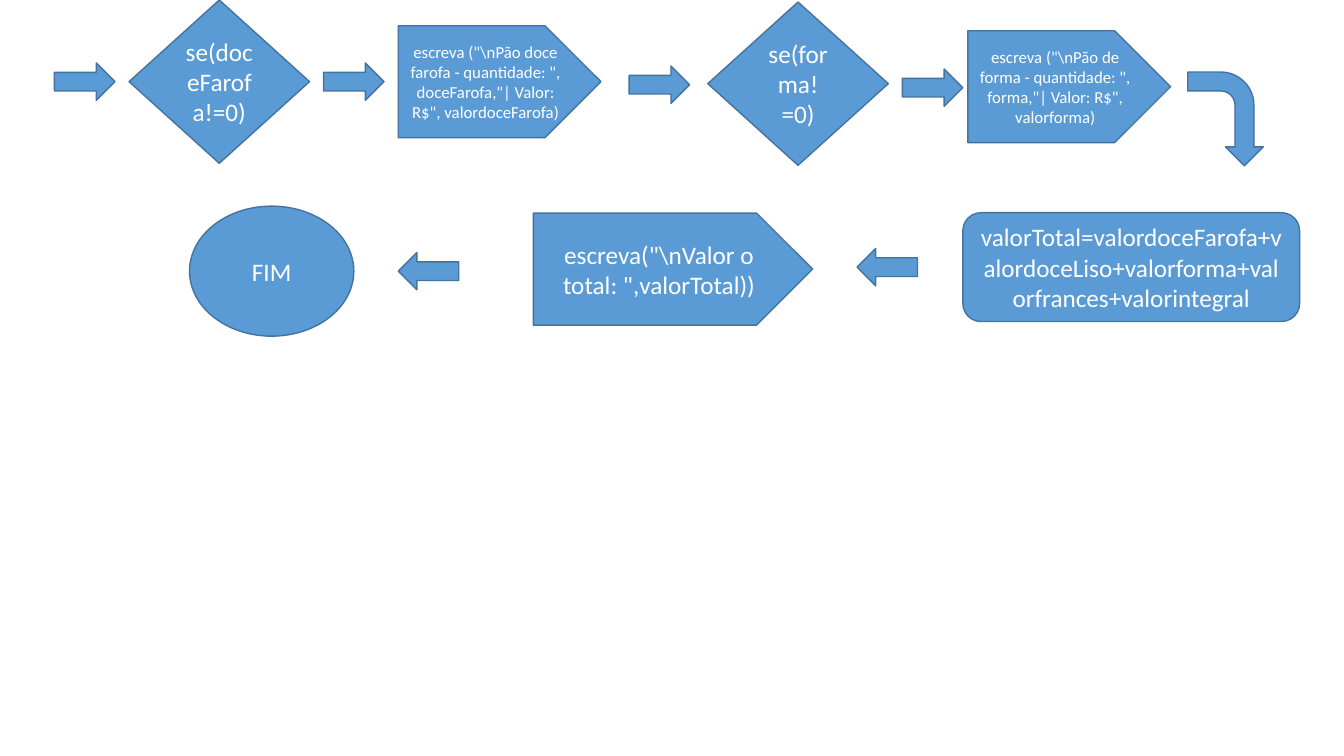
from pptx import Presentation
from pptx.dml.color import RGBColor
from pptx.enum.shapes import MSO_SHAPE
from pptx.enum.text import MSO_ANCHOR, PP_ALIGN
from pptx.util import Inches, Pt

COLORS = {"fill": "5B9BD5", "line": "43739E", "text": "FFFFFF"}
FONT = "Calibri"

# kind: preset shape, width, height, rotation, text size
KINDS = {
    "next": (MSO_SHAPE.RIGHT_ARROW, 0.6, 0.37, 0, None),
    "back": (MSO_SHAPE.RIGHT_ARROW, 0.6, 0.37, 180, None),
    "turn": (MSO_SHAPE.BENT_ARROW, 0.93, 0.75, 90, None),
    "decision": (MSO_SHAPE.DIAMOND, 1.79, 1.62, 0, 18),
    "output": (MSO_SHAPE.PENTAGON, 2.01, 1.11, 0, 12),
    "total output": (MSO_SHAPE.PENTAGON, 2.77, 1.11, 0, 18),
    "process": (MSO_SHAPE.ROUNDED_RECTANGLE, 3.34, 1.08, 0, 18),
    "end": (MSO_SHAPE.OVAL, 1.63, 1.29, 0, 18),
}

# Each row: centre line, then steps as (kind, left, offset from centre line, text)
ROWS = [
    (0.81, [
        ("next", 0.54, 0, ""),
        ("decision", 1.28, 0, "se(doceFarofa!=0)"),
        ("next", 3.21, 0, ""),
        ("output", 3.95, 0, r'escreva ("\nPão doce farofa - quantidade: ", '
                            r'doceFarofa,"| Valor: R$", valordoceFarofa)'),
        ("next", 6.24, 0.03, ""),
        ("decision", 7.02, 0.02, "se(forma!=0)"),
        ("next", 8.95, 0.06, ""),
        ("output", 9.6, 0.05, r'escreva ("\nPão de forma - quantidade: ", '
                              r'forma,"| Valor: R$", valorforma)'),
        ("turn", 11.69, 0.37, ""),
    ]),
    (2.65, [
        ("process", 9.55, 0, "valorTotal=valordoceFarofa+valordoceLiso"
                             "+valorforma+valorfrances+valorintegral"),
        ("back", 8.5, 0, ""),
        ("total output", 5.29, 0.02, r'escreva("\nValor o total: ",valorTotal))'),
        ("back", 3.95, 0.04, ""),
        ("end", 1.88, 0.04, "FIM"),
    ]),
]


def rgb(name):
    return RGBColor.from_string(COLORS[name])


def add_step(slide, kind, left, middle, text):
    preset, width, height, rotation, size = KINDS[kind]
    sp = slide.shapes.add_shape(preset, Inches(left), Inches(middle - height / 2),
                                Inches(width), Inches(height))
    sp.rotation = rotation
    sp.shadow.inherit = False
    sp.fill.solid()
    sp.fill.fore_color.rgb = rgb("fill")
    sp.line.color.rgb = rgb("line")
    sp.line.width = Pt(1)
    if text:
        tf = sp.text_frame
        tf.word_wrap = True
        tf.vertical_anchor = MSO_ANCHOR.MIDDLE
        p = tf.paragraphs[0]
        p.alignment = PP_ALIGN.CENTER
        r = p.add_run()
        r.text = text
        r.font.name = FONT
        r.font.size = Pt(size)
        r.font.color.rgb = rgb("text")


def main():
    prs = Presentation()
    prs.slide_width, prs.slide_height = Inches(13.33), Inches(7.5)
    slide = prs.slides.add_slide(prs.slide_layouts[6])
    for centre, steps in ROWS:
        for kind, left, offset, text in steps:
            add_step(slide, kind, left, centre + offset, text)
    prs.save("out.pptx")


if __name__ == "__main__":
    main()
